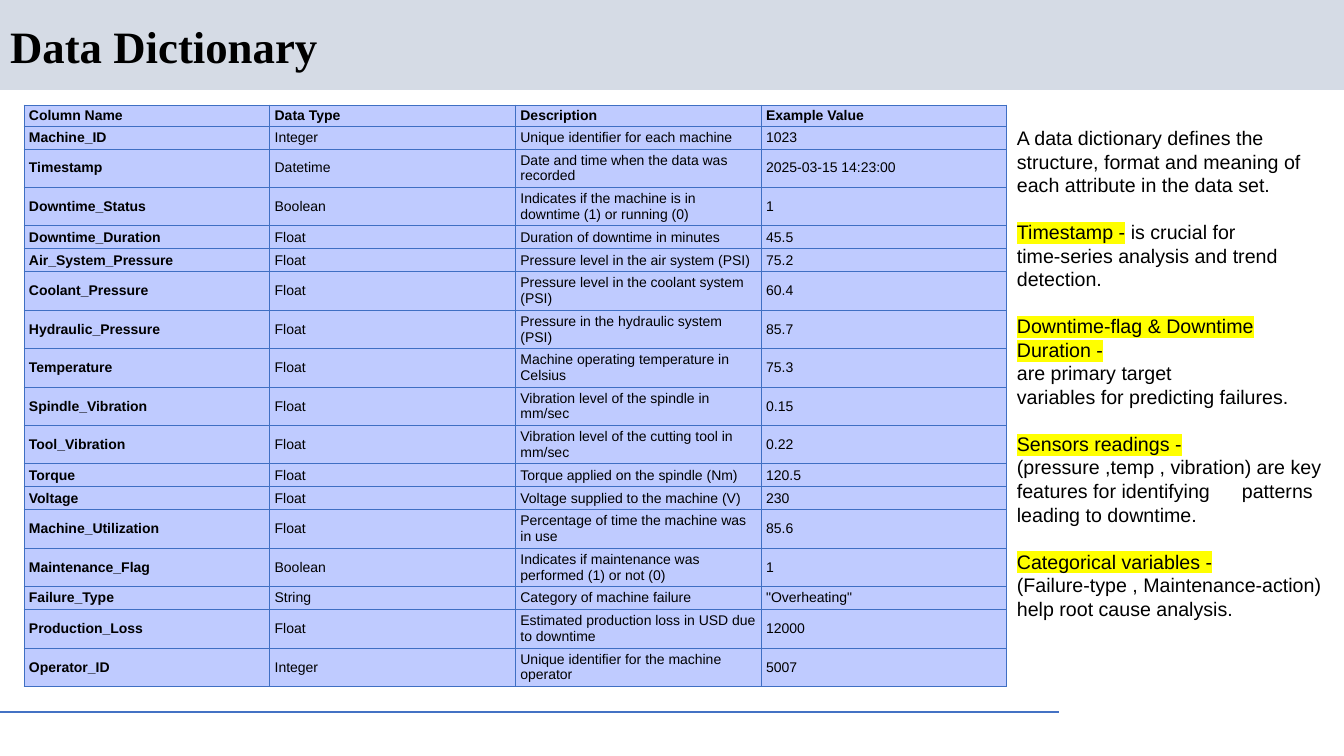
"""Build the Data Dictionary slide: a column table beside explanatory notes."""
import dataclasses

import lxml.etree
import pptx
import pptx.dml.color
import pptx.enum.shapes
import pptx.enum.text
import pptx.oxml.ns
import pptx.util

WIDTH, HEIGHT = 1344, 756
EMU_PER_PX = 12192000 / WIDTH

DICTIONARY = [
    ("Column Name", "Data Type", "Description", "Example Value"),
    ("Machine_ID", "Integer", "Unique identifier for each machine", "1023"),
    ("Timestamp", "Datetime", "Date and time when the data was recorded", "2025-03-15 14:23:00"),
    ("Downtime_Status", "Boolean", "Indicates if the machine is in downtime (1) or running (0)", "1"),
    ("Downtime_Duration", "Float", "Duration of downtime in minutes", "45.5"),
    ("Air_System_Pressure", "Float", "Pressure level in the air system (PSI)", "75.2"),
    ("Coolant_Pressure", "Float", "Pressure level in the coolant system (PSI)", "60.4"),
    ("Hydraulic_Pressure", "Float", "Pressure in the hydraulic system (PSI)", "85.7"),
    ("Temperature", "Float", "Machine operating temperature in Celsius", "75.3"),
    ("Spindle_Vibration", "Float", "Vibration level of the spindle in mm/sec", "0.15"),
    ("Tool_Vibration", "Float", "Vibration level of the cutting tool in mm/sec", "0.22"),
    ("Torque", "Float", "Torque applied on the spindle (Nm)", "120.5"),
    ("Voltage", "Float", "Voltage supplied to the machine (V)", "230"),
    ("Machine_Utilization", "Float", "Percentage of time the machine was in use", "85.6"),
    ("Maintenance_Flag", "Boolean", "Indicates if maintenance was performed (1) or not (0)", "1"),
    ("Failure_Type", "String", "Category of machine failure", '"Overheating"'),
    ("Production_Loss", "Float", "Estimated production loss in USD due to downtime", "12000"),
    ("Operator_ID", "Integer", "Unique identifier for the machine operator", "5007"),
]
ONE_LINE_COLUMNS = {
    "Machine_ID", "Downtime_Duration", "Air_System_Pressure",
    "Torque", "Voltage", "Failure_Type",
}

NOTES = [
    [("", "A data dictionary defines the structure, format and meaning of each attribute in the data set.")],
    [("Timestamp -", " is crucial for"), ("", "time-series analysis and trend detection.")],
    [("Downtime-flag & Downtime", ""), ("Duration -", ""),
     ("", "are primary target"), ("", "variables for predicting failures.")],
    [("Sensors readings -", ""),
     ("", "(pressure ,temp , vibration) are key features for identifying\tpatterns leading to downtime.")],
    [("Categorical variables -", ""),
     ("", "(Failure-type , Maintenance-action) help root cause analysis.")],
]


@dataclasses.dataclass(frozen=True)
class Theme:
    """Colours, fonts and type sizes of the slide."""
    band: str = "D5DBE5"
    rule: str = "4472C4"
    cell: str = "BFCBFF"
    border: str = "3F6FC3"
    ink: str = "000000"
    highlight: str = "FFFF00"
    title_font: str = "Times New Roman"
    body_font: str = "Arial"
    title_size: int = 32
    note_size: int = 14
    note_line: float = 16.8
    cell_size: int = 10
    line_width: float = 0.75


def px(length):
    """Turn px into EMU."""
    return pptx.util.Emu(round(length * EMU_PER_PX))


def rgb(colour):
    """Turn a hex string into a colour."""
    return pptx.dml.color.RGBColor.from_string(colour)


def add_xml(parent, tag, **attributes):
    """Append a DrawingML child element."""
    return lxml.etree.SubElement(parent, pptx.oxml.ns.qn(tag), attributes)


class SlideBuilder:
    """Draw themed elements on the current slide."""

    def __init__(self, slide, theme):
        """Keep the slide and its theme."""
        self.slide = slide
        self.theme = theme

    def style(self, paragraph, size, font, bold=False):
        """Set the font of a whole paragraph."""
        paragraph.alignment = pptx.enum.text.PP_ALIGN.LEFT
        paragraph.font.size = pptx.util.Pt(size)
        paragraph.font.name = font
        paragraph.font.bold = bold
        paragraph.font.color.rgb = rgb(self.theme.ink)

    def title(self, text, left, top, width, height):
        """Place and format the title placeholder."""
        title = self.slide.shapes.title
        title.left, title.top, title.width, title.height = map(px, (left, top, width, height))
        frame = title.text_frame
        frame.text = text
        frame.vertical_anchor = pptx.enum.text.MSO_ANCHOR.MIDDLE
        frame.auto_size = pptx.enum.text.MSO_AUTO_SIZE.SHAPE_TO_FIT_TEXT
        frame.paragraphs[0].line_spacing = 0.9
        self.style(frame.paragraphs[0], self.theme.title_size, self.theme.title_font, True)

    def band(self, left, top, width, height):
        """Draw the header band behind the title."""
        band = self.slide.shapes.add_shape(
            pptx.enum.shapes.MSO_SHAPE.RECTANGLE, *map(px, (left, top, width, height)))
        band.shadow.inherit = False
        band.fill.solid()
        band.fill.fore_color.rgb = rgb(self.theme.band)
        band.line.fill.background()
        self.slide.shapes.title.element.addprevious(band.element)

    def rule(self, left, right, y):
        """Draw a horizontal rule."""
        rule = self.slide.shapes.add_connector(
            pptx.enum.shapes.MSO_CONNECTOR.STRAIGHT, *map(px, (left, y, right, y)))
        rule.line.color.rgb = rgb(self.theme.rule)
        rule.line.width = pptx.util.Pt(self.theme.line_width)
        add_xml(rule.element.spPr, "a:effectLst")

    def cell(self, cell, text, bold):
        """Fill, border and write one table cell."""
        cell.margin_left = cell.margin_right = px(5)
        cell.margin_top = cell.margin_bottom = px(2)
        cell.vertical_anchor = pptx.enum.text.MSO_ANCHOR.MIDDLE
        properties = cell._tc.get_or_add_tcPr()
        for side in "LRTB":
            border = add_xml(properties, f"a:ln{side}",
                             w=str(pptx.util.Pt(self.theme.line_width)))
            add_xml(add_xml(border, "a:solidFill"), "a:srgbClr", val=self.theme.border)
        cell.fill.solid()
        cell.fill.fore_color.rgb = rgb(self.theme.cell)
        cell.text = text
        self.style(cell.text_frame.paragraphs[0], self.theme.cell_size,
                   self.theme.body_font, bold)

    def table(self, rows, left, top, width, height, header_height, line_height):
        """Draw the table, sharing leftover height among two-line rows."""
        table = self.slide.shapes.add_table(
            len(rows), len(rows[0]), *map(px, (left, top, width, height))).table
        table.first_row = table.horz_banding = False
        for column in table.columns:
            column.width = px(width / len(rows[0]))
        one_line = len(ONE_LINE_COLUMNS)
        tall_height = (height - header_height - one_line * line_height) / (len(rows) - 1 - one_line)
        for r, values in enumerate(rows):
            row_height = line_height if values[0] in ONE_LINE_COLUMNS else tall_height
            table.rows[r].height = px(row_height if r else header_height)
            for c, value in enumerate(values):
                self.cell(table.cell(r, c), value, r == 0 or c == 0)

    def notes(self, groups, left, top, width, height, tab):
        """Write groups of notes with highlighted lead-ins."""
        frame = self.slide.shapes.add_textbox(*map(px, (left, top, width, height))).text_frame
        frame.word_wrap = True
        frame.auto_size = pptx.enum.text.MSO_AUTO_SIZE.SHAPE_TO_FIT_TEXT
        paragraph = frame.paragraphs[0]
        for g, group in enumerate(groups):
            for n, (lead, body) in enumerate(group):
                if g or n:
                    paragraph = frame.add_paragraph()
                if "\t" in body:
                    stops = add_xml(paragraph._p.get_or_add_pPr(), "a:tabLst")
                    add_xml(stops, "a:tab", pos=str(px(tab)), algn="l")
                paragraph.line_spacing = pptx.util.Pt(self.theme.note_line)
                if g and n == 0:
                    paragraph.space_before = pptx.util.Pt(self.theme.note_line)
                self.style(paragraph, self.theme.note_size, self.theme.body_font)
                if lead:
                    run = paragraph.add_run()
                    run.text = lead
                    marker = add_xml(run._r.get_or_add_rPr(), "a:highlight")
                    add_xml(marker, "a:srgbClr", val=self.theme.highlight)
                if body:
                    paragraph.add_run().text = body


def main():
    """Build and save the presentation."""
    presentation = pptx.Presentation()
    presentation.slide_width, presentation.slide_height = px(WIDTH), px(HEIGHT)
    builder = SlideBuilder(presentation.slides.add_slide(presentation.slide_layouts[5]), Theme())
    builder.band(0, 0, WIDTH, 90)
    builder.rule(0, 1059, 712)
    builder.title("Data Dictionary", 0, 19, 1159, 59)
    builder.table(DICTIONARY, 24, 105, 983, 582, header_height=21, line_height=23)
    builder.notes(NOTES, 1007, 121, 337, 509, tab=225)
    presentation.save("out.pptx")


if __name__ == "__main__":
    main()
